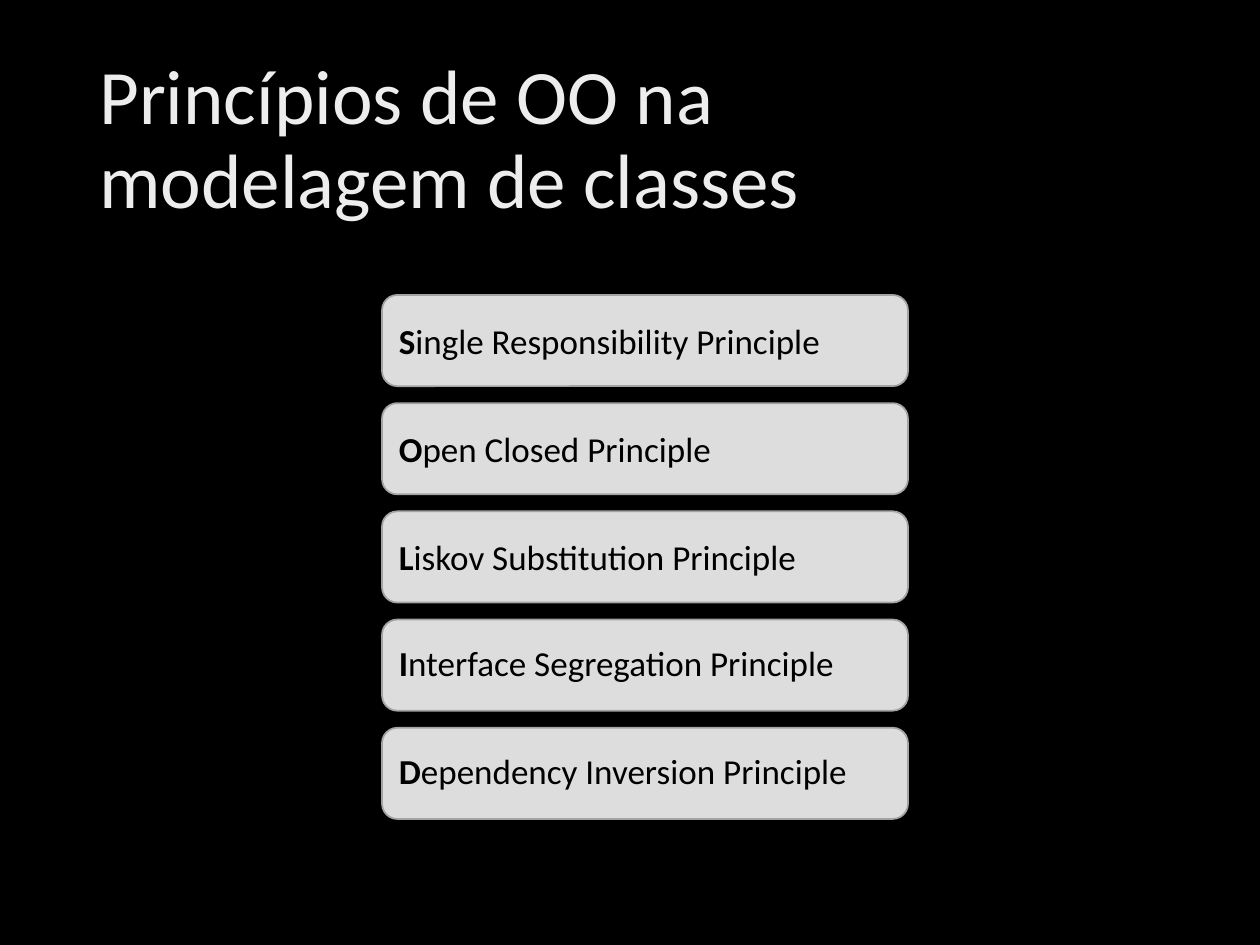
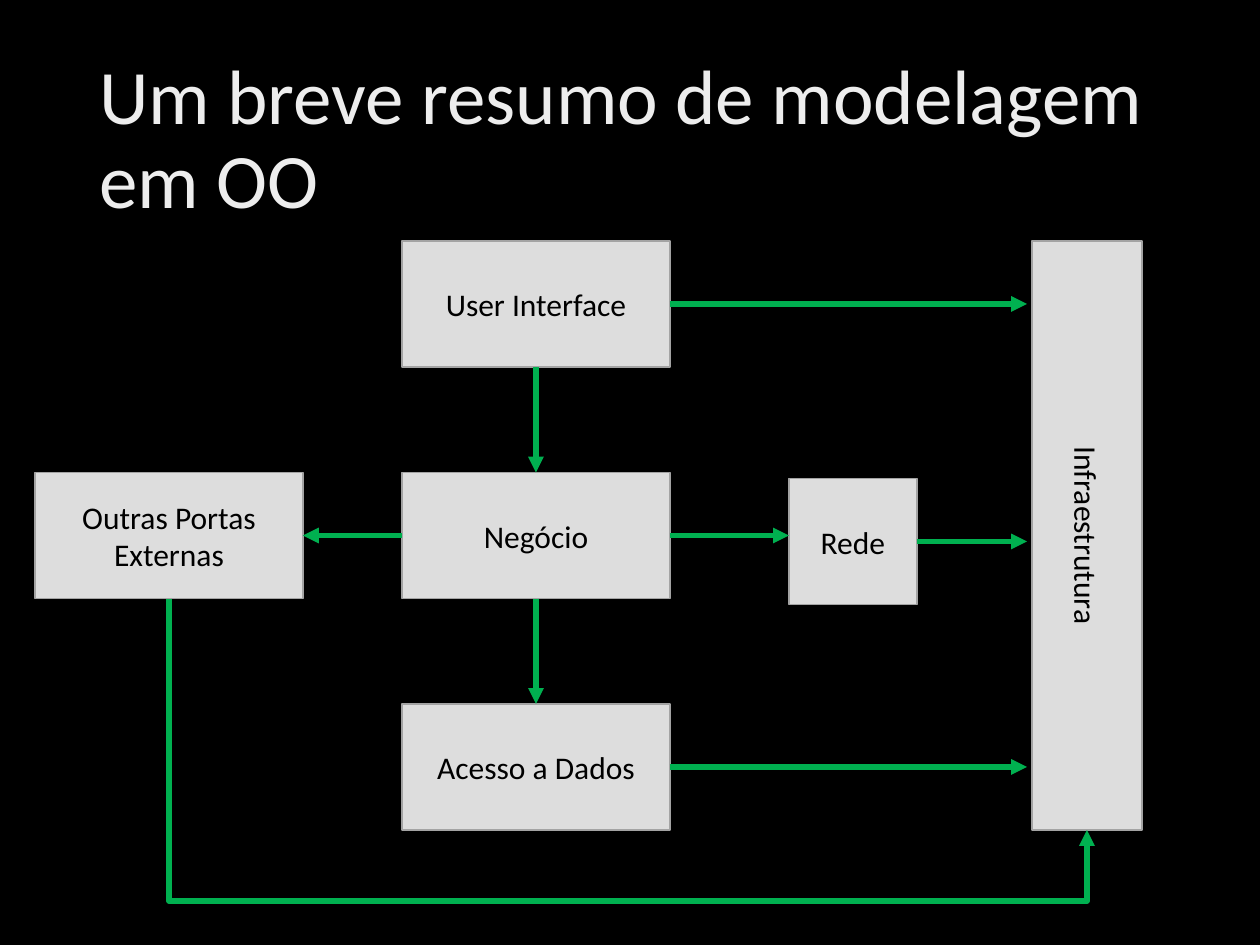
from collections import namedtuple
from dataclasses import dataclass

from lxml.etree import SubElement
from pptx import Presentation
from pptx.dml.color import RGBColor as Rgb
from pptx.enum.shapes import MSO_CONNECTOR as Link, MSO_SHAPE as Form
from pptx.enum.text import MSO_ANCHOR as Anchor, PP_ALIGN as Align
from pptx.oxml.ns import qn
from pptx.util import Emu, Pt

SCALE = 914400 / 126


@dataclass(frozen=True)
class Theme:
    font: str = "Calibri"
    back: Rgb = Rgb(0, 0, 0)
    title: Rgb = Rgb(0xED, 0xED, 0xED)
    ink: Rgb = Rgb(0, 0, 0)
    fill: Rgb = Rgb(0xDD, 0xDD, 0xDD)
    edge: Rgb = Rgb(0xA3, 0xA3, 0xA3)
    arrow: Rgb = Rgb(0, 0xB0, 0x50)
    head: int = 44
    item: int = 20
    node: int = 18
    thin: int = 1
    thick: int = 3


THEME = Theme()


class Box(namedtuple("Box", "x y w h")):
    """A rectangle in px with the middles of its four sides."""

    @property
    def left(self):
        return self.x, self.y + self.h / 2

    @property
    def right(self):
        return self.x + self.w, self.y + self.h / 2

    @property
    def top(self):
        return self.x + self.w / 2, self.y

    @property
    def bottom(self):
        return self.x + self.w / 2, self.y + self.h


TITLE = Box(87, 50, 1086, 183)


def px(*vals):
    return [Emu(round(val * SCALE)) for val in vals]


def write(frame, runs, size, color, align=Align.LEFT, lead=None):
    """Fill a frame with (text, bold) runs; a newline is a line break."""
    frame.word_wrap = True
    frame.vertical_anchor = Anchor.MIDDLE
    para = frame.paragraphs[0]
    para.alignment = align
    para.line_spacing = lead
    for text, bold in runs:
        for num, line in enumerate(text.split("\n")):
            if num:
                para.add_line_break()
            run = para.add_run()
            run.text = line
            font = run.font
            font.name, font.size, font.bold = THEME.font, Pt(size), bold
            font.color.rgb = color


def title(slide, text):
    frame = slide.shapes.add_textbox(*px(*TITLE)).text_frame
    write(frame, [(text, False)], THEME.head, THEME.title, lead=0.9)


def panel(slide, form, box):
    shape = slide.shapes.add_shape(form, *px(*box))
    shape.shadow.inherit = False
    shape.fill.solid()
    shape.fill.fore_color.rgb = THEME.fill
    shape.line.color.rgb = THEME.edge
    shape.line.width = Pt(THEME.thin)
    return shape.text_frame


def node(slide, box, text):
    frame = panel(slide, Form.RECTANGLE, box)
    write(frame, [(text, False)], THEME.node, THEME.ink, Align.CENTER)
    return frame


def arrow(slide, start, end, kind=Link.STRAIGHT):
    link = slide.shapes.add_connector(kind, *px(*start, *end))
    link.line.color.rgb = THEME.arrow
    link.line.width = Pt(THEME.thick)
    props = link.element.spPr
    SubElement(props.find(qn("a:ln")), qn("a:tailEnd"), type="triangle")
    SubElement(props, qn("a:effectLst"))
    return props


def detour(slide, start, end, low):
    """Draw an arrow that drops to low, runs right and rises to end."""
    (x1, y1), (x2, y2) = start, end
    mid_x, mid_y = (x1 + x2) / 2, (y1 + y2) / 2
    half_w, half_h = (y2 - y1) / 2, (x2 - x1) / 2
    # The connector is laid out sideways, then turned by 270 degrees.
    props = arrow(slide, (mid_x + half_w, mid_y - half_h),
                  (mid_x - half_w, mid_y + half_h), Link.ELBOW)
    props.find(qn("a:xfrm")).set("rot", str(270 * 60000))
    bend = round((low - y1) / (y2 - y1) * 100000)
    guides = props.find(qn("a:prstGeom")).find(qn("a:avLst"))
    SubElement(guides, qn("a:gd"), name="adj1", fmla=f"val {bend}")


def stack(slide, box, items, gap=17):
    """Stack the items evenly, each with a bold first letter."""
    high = (box.h - gap * (len(items) - 1)) / len(items)
    for num, (text, lead) in enumerate(items):
        row = Box(box.x, box.y + num * (high + gap), box.w, high)
        frame = panel(slide, Form.ROUNDED_RECTANGLE, row)
        runs = [(text[0], True), (text[1:], False)]
        write(frame, runs, THEME.item, THEME.ink, lead=lead)


def layers(slide, box):
    """Draw the layers, their ports and the infrastructure bar."""
    wide, high = 268, 126
    x, y = box.x + 367, box.y
    step = (box.h - high) / 2
    screen, core, data = [Box(x, y + num * step, wide, high)
                          for num in range(3)]
    ports = Box(box.x, core.y, wide, high)
    net = Box(box.x + 754, core.y + 6, 128, high)
    infra = Box(box.x + box.w - 110, y, 110, box.h)

    for part, text in ((core, "Negócio"), (screen, "User Interface"),
                       (data, "Acesso a Dados"), (net, "Rede"),
                       (ports, "Outras Portas\nExternas")):
        node(slide, part, text)
    bar = node(slide, infra, "Infraestrutura")
    bar._txBody.find(qn("a:bodyPr")).set("vert", "vert")

    for start, end in ((screen.bottom, core.top), (core.bottom, data.top),
                       (core.left, ports.right),
                       (core.right, (net.x, core.right[1]))):
        arrow(slide, start, end)
    for part in (screen, net, data):
        arrow(slide, part.right, (infra.x - 5, part.right[1]))
    detour(slide, ports.bottom, infra.bottom, box.y + box.h + 71)


def solid(slide):
    title(slide, "Princípios de OO na\nmodelagem de classes")
    stack(slide, Box(382, 295, 526, 524), (
        ("Single Responsibility Principle", None),
        ("Open Closed Principle", None),
        ("Liskov Substitution Principle", None),
        ("Interface Segregation Principle", 0.9),
        ("Dependency Inversion Principle", 0.9)))


def model(slide):
    title(slide, "Um breve resumo de modelagem em OO")
    layers(slide, Box(35, 241, 1107, 589))


def main():
    prs = Presentation()
    prs.slide_width, prs.slide_height = px(1260, 945)
    back = prs.slide_master.background.fill
    back.solid()
    back.fore_color.rgb = THEME.back
    for draw in (solid, model):
        draw(prs.slides.add_slide(prs.slide_layouts[6]))
    prs.save("out.pptx")


if __name__ == "__main__":
    main()
